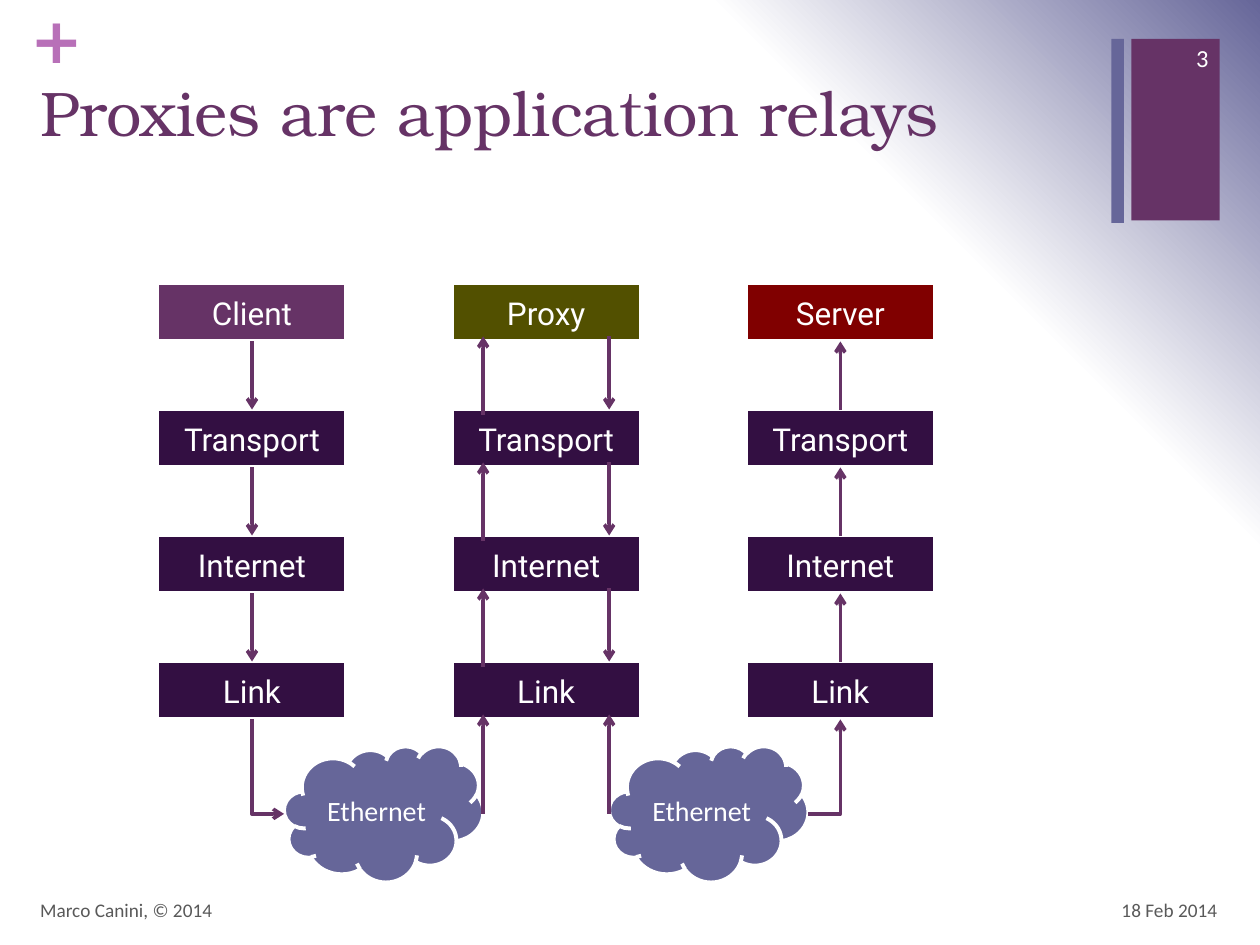
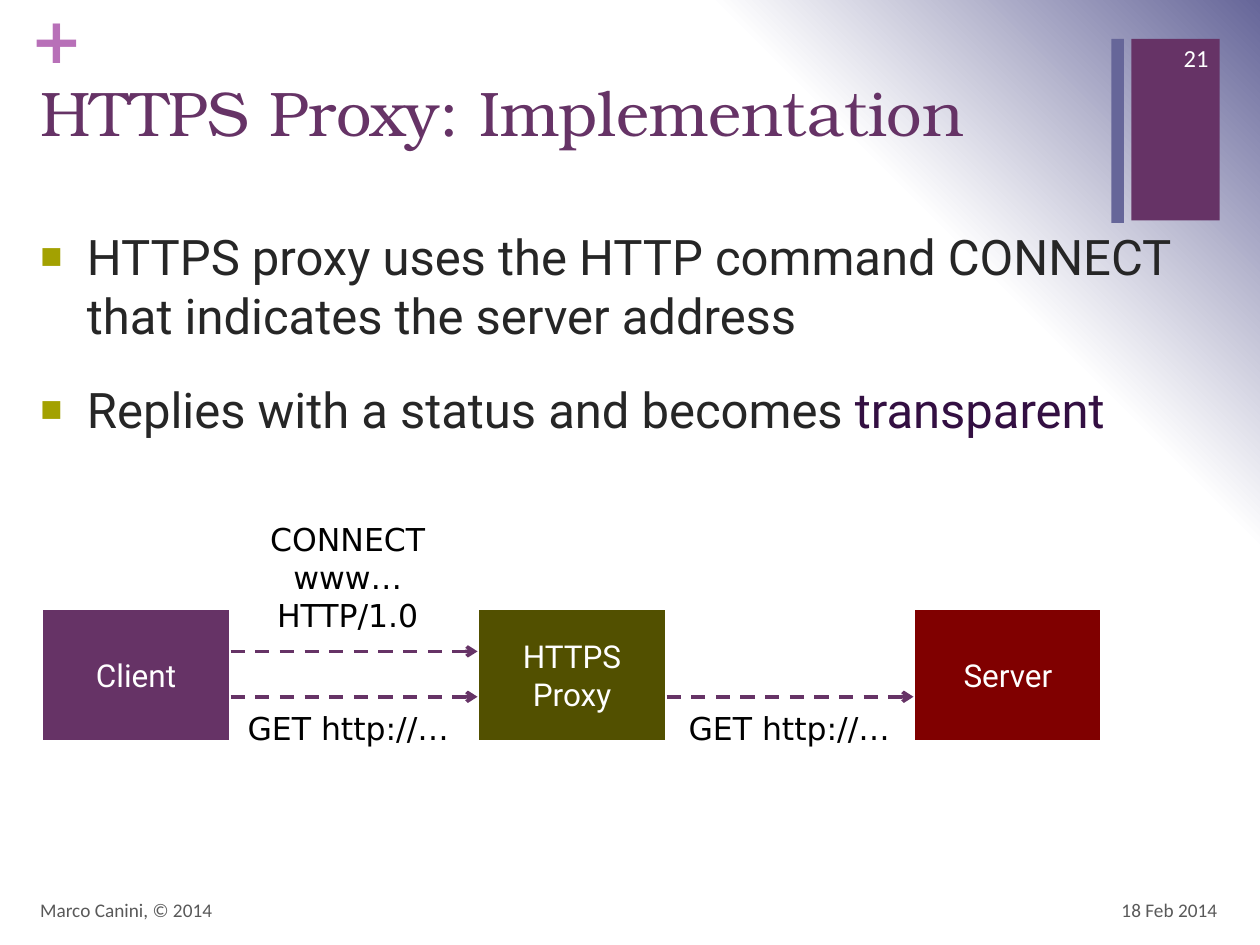
from dataclasses import dataclass

from pptx import Presentation
from pptx.dml.color import RGBColor
from pptx.enum.dml import MSO_LINE
from pptx.enum.shapes import MSO_CONNECTOR as Conn, MSO_SHAPE as Kind
from pptx.enum.text import MSO_ANCHOR as Anchor, MSO_AUTO_SIZE as Fit, PP_ALIGN as Align
from pptx.oxml import parse_xml
from pptx.oxml.ns import nsdecls, qn
from pptx.util import Inches, Pt


@dataclass(frozen=True)
class Theme:
    plum: str = "663366"
    slate: str = "666699"
    dark: str = "330F42"
    olive: str = "525000"
    red: str = "800000"
    pink: str = "B870B8"
    lime: str = "A3A101"
    ink: str = "262626"
    gray: str = "595959"
    black: str = "000000"
    white: str = "FFFFFF"
    serif: str = "TeX Gyre Bonum"
    sans: str = "Roboto"
    plain: str = "Calibri"
    code: str = "DejaVu Sans"
    head: int = 36
    body: int = 28
    label: int = 18
    cloud: int = 16
    num: int = 14
    foot: int = 11
    edge: float = 2.25
    wire: float = 2


T = Theme()

# Content
WIDTH, HEIGHT = 10, 7.5
AUTHOR, DATE = "Marco Canini, © 2014", "18 Feb 2014"

RELAY = {
    "title": "Proxies are application relays",
    "num": "3",
    "tops": [("Client", T.plum), ("Proxy", T.olive), ("Server", T.red)],
    "layers": ["Transport", "Internet", "Link"],
    "net": "Ethernet",
}
HTTPS = {
    "title": "HTTPS Proxy: Implementation",
    "num": "21",
    "points": [
        [("HTTPS proxy uses the HTTP command CONNECT that indicates the server address", T.ink)],
        [("Replies with a status and becomes ", T.ink), ("transparent", T.dark)],
    ],
    "nodes": [("Client", T.plum), ("HTTPS\nProxy", T.olive), ("Server", T.red)],
    "call": "CONNECT\nwww…\nHTTP/1.0",
    "get": "GET http://…",
}

# Grids, in inches
LEFT, FOOT = 0.22, 7.02
BOX_W, BOX_H = 1.5, 0.46
STACK_X, STACK_Y, COL, ROW = 1.25, 2.25, 2.335, 1
LANE, LAP = 0.25, 0.04
CLOUD_W, CLOUD_H, CLOUD_Y = 1.58, 1.08, 5.92
NODE_X, NODE_Y, NODE_H, STEP = 0.33, 4.83, 1.06, 3.46


def rgb(code):
    return RGBColor.from_string(code)


def write(frame, text, size=T.label, font=T.sans, color=T.white, align=Align.LEFT,
          anchor=Anchor.TOP, bold=False, wrap=True, more=False):
    """Fill a frame with one paragraph: a string, or a list of (text, colour) runs."""
    frame.word_wrap, frame.vertical_anchor = wrap, anchor
    para = frame.add_paragraph() if more else frame.paragraphs[0]
    para.alignment = align
    if isinstance(text, str):
        para.text = text
        tints = [color] * len(para.runs)
    else:
        for part, _ in text:
            para.add_run().text = part
        tints = [tint for _, tint in text]
    for run, tint in zip(para.runs, tints):
        run.font.size, run.font.name, run.font.bold = Pt(size), font, bold
        run.font.color.rgb = rgb(tint)
    return para


def place(shape, *spot):
    shape.left, shape.top, shape.width, shape.height = map(Inches, spot)


def note(slide, text, spot, **style):
    frame = slide.shapes.add_textbox(*map(Inches, spot)).text_frame
    write(frame, text, **style)
    return frame


def block(slide, spot, fill, text=None, kind=Kind.RECTANGLE, **style):
    shape = slide.shapes.add_shape(kind, *map(Inches, spot))
    shape.shadow.inherit = False
    shape.fill.solid()
    shape.fill.fore_color.rgb = rgb(fill)
    if text:
        shape.line.color.rgb = rgb(T.white)
        shape.line.width = Pt(T.edge)
        write(shape.text_frame, text, align=Align.CENTER, anchor=Anchor.MIDDLE, **style)
    else:
        shape.line.fill.background()
    return shape


def wire(slide, start, stop, dash=False, end="tailEnd", kind=Conn.STRAIGHT):
    line = slide.shapes.add_connector(kind, *map(Inches, start + stop))
    line.line.color.rgb = rgb(T.plum)
    line.line.width = Pt(T.wire)
    if dash:
        line.line.dash_style = MSO_LINE.DASH
    props = line.element.spPr
    props.find(qn("a:ln")).append(parse_xml(f'<a:{end} {nsdecls("a")} type="arrow"/>'))
    props.append(parse_xml(f'<a:effectLst {nsdecls("a")}/>'))
    return line


def elbow(slide, cloud, site, box, start, stop, end):
    """Join a cloud's side to a box's bottom with one bend."""
    line = wire(slide, start, stop, end=end, kind=Conn.ELBOW)
    line.element.spPr.find(qn("a:prstGeom")).set("prst", "bentConnector2")
    line.begin_connect(cloud, site)
    line.end_connect(box, 2)
    line.begin_x, line.begin_y = map(Inches, start)
    line.end_x, line.end_y = map(Inches, stop)


def paint(master):
    """Give every slide the corner gradient."""
    stops = "".join(
        f'<a:gs pos="{pos * 1000}"><a:srgbClr val="{tint}"/></a:gs>'
        for pos, tint in [(0, T.white), (75, T.white), (100, T.slate)])
    back = parse_xml(
        f'<p:bg {nsdecls("p", "a")}><p:bgPr><a:gradFill rotWithShape="1">'
        f'<a:gsLst>{stops}</a:gsLst><a:path path="circle">'
        '<a:fillToRect t="100000" r="100000"/></a:path></a:gradFill>'
        '<a:effectLst/></p:bgPr></p:bg>')
    old = master.element.find(".//" + qn("p:bg"))
    old.getparent().replace(old, back)


def begin(deck, page, layout):
    """Start a slide with its bands, title, footers and number."""
    slide = deck.slides.add_slide(deck.slide_layouts[layout])
    block(slide, (8.98, 0.31, 0.7, 1.44), T.plum)
    plus = note(slide, "+", (0.24, 0, 0.29, 0.61), size=T.head, font=T.code,
                color=T.pink, bold=True)
    plus.margin_left = plus.margin_top = plus.margin_right = plus.margin_bottom = 0
    block(slide, (8.82, 0.31, 0.1, 1.46), T.slate)

    title = slide.shapes.title
    place(title, LEFT, 0.53, 8.59, 1.22)
    title.text_frame.auto_size = Fit.NONE
    write(title.text_frame, page["title"], size=T.head, font=T.serif, color=T.plum)

    small = dict(font=T.plain, anchor=Anchor.MIDDLE)
    foot = dict(small, size=T.foot, color=T.gray)
    note(slide, DATE, (7.43, FOOT, 2.33, 0.4), align=Align.RIGHT, **foot)
    note(slide, AUTHOR, (LEFT, FOOT, 6.7, 0.4), **foot)
    note(slide, page["num"], (9.08, 0.26, 0.61, 0.4), size=T.num, align=Align.RIGHT, **small)
    return slide


def relay(deck):
    slide = begin(deck, RELAY, 5)
    rows = [STACK_Y + ROW * i for i in range(len(RELAY["layers"]) + 1)]
    cols = [STACK_X + COL * i for i in range(len(RELAY["tops"]))]
    base, mid = rows[-1] + BOX_H, CLOUD_Y + CLOUD_H / 2

    # Stacks of layers
    feet = []
    for x, top in zip(cols, RELAY["tops"]):
        stack = [top] + [(name, T.dark) for name in RELAY["layers"]]
        for y, (name, fill) in zip(rows, stack):
            box = block(slide, (x, y, BOX_W, BOX_H), fill, name)
        feet.append(box)

    # Networks between the stacks
    up, down = cols[1] + LANE, cols[1] + BOX_W - LANE
    near, far = up - CLOUD_W, down + CLOUD_W
    clouds = [block(slide, (x, CLOUD_Y, CLOUD_W, CLOUD_H), T.slate, RELAY["net"],
                    kind=Kind.CLOUD, size=T.cloud, font=T.plain) for x in (near, down)]

    # Arrows between the layers
    first, last = cols[0] + BOX_W / 2, cols[2] + BOX_W / 2
    for y, below in zip(rows, rows[1:]):
        low = y + BOX_H
        wire(slide, (first, low), (first, below))
        wire(slide, (up, below + LAP), (up, low - LAP))
        wire(slide, (down, low - LAP), (down, below))
        wire(slide, (last, below), (last, low))

    # Arrows through the networks
    for x in (up, down):
        wire(slide, (x, mid), (x, base - LAP))
    elbow(slide, clouds[0], 2, feet[0], (near, mid), (first, base), "headEnd")
    elbow(slide, clouds[1], 0, feet[2], (far, mid), (last, base), "tailEnd")


def https(deck):
    slide = begin(deck, HTTPS, 1)

    # Bullet list
    body = slide.placeholders[1]
    place(body, LEFT, 1.75, 9.54, 5.27)
    body.text_frame.auto_size = Fit.NONE
    for i, point in enumerate(HTTPS["points"]):
        para = write(body.text_frame, point, size=T.body, more=i > 0)
        para.space_before = Pt(20)
        props = para._p.get_or_add_pPr()
        props.set("marL", str(Inches(0.37)))
        props.set("indent", str(-Inches(0.37)))
        for tag in (f'<a:buClr {nsdecls("a")}><a:srgbClr val="{T.lime}"/></a:buClr>',
                    f'<a:buSzPct {nsdecls("a")} val="75000"/>',
                    f'<a:buChar {nsdecls("a")} char="■"/>'):
            props.append(parse_xml(tag))

    # Nodes
    cols = [NODE_X + STEP * i for i in range(len(HTTPS["nodes"]))]
    for x, (name, fill) in zip(cols, HTTPS["nodes"]):
        block(slide, (x, NODE_Y, BOX_W, NODE_H), fill, name)

    # Requests and their labels
    words = dict(font=T.code, color=T.black, align=Align.CENTER, wrap=False)
    call, get = NODE_Y + 0.34, NODE_Y + 0.7
    wire(slide, (cols[0] + BOX_W, call), (cols[1], call), dash=True)
    note(slide, HTTPS["call"], (2.03, 4.08, 1.46, 1.01), **words)
    for x, after, left in zip(cols, cols[1:], (1.83, 5.33)):
        wire(slide, (x + BOX_W, get), (after, get), dash=True)
        note(slide, HTTPS["get"], (left, get + 0.05, 1.87, 0.4), **words)


def main():
    deck = Presentation()
    deck.slide_width, deck.slide_height = Inches(WIDTH), Inches(HEIGHT)
    paint(deck.slide_master)
    relay(deck)
    https(deck)
    deck.save("out.pptx")


if __name__ == "__main__":
    main()
